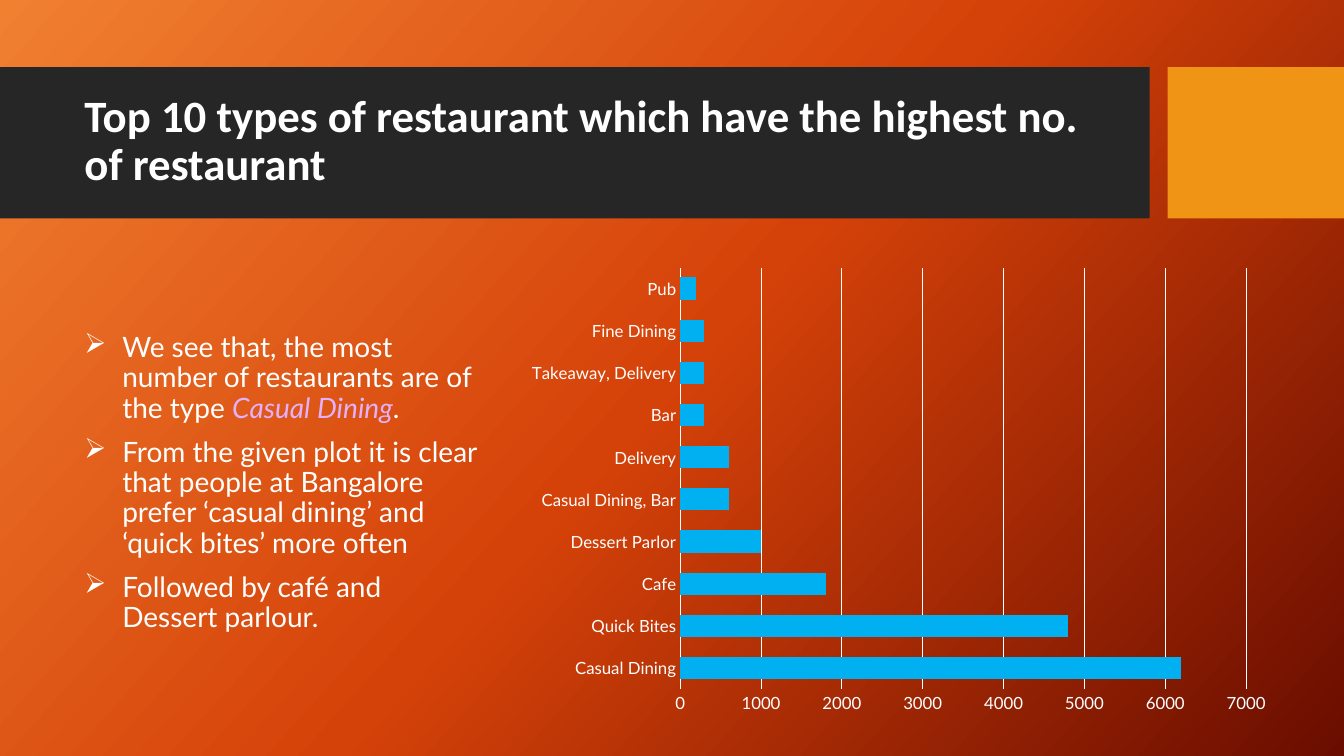
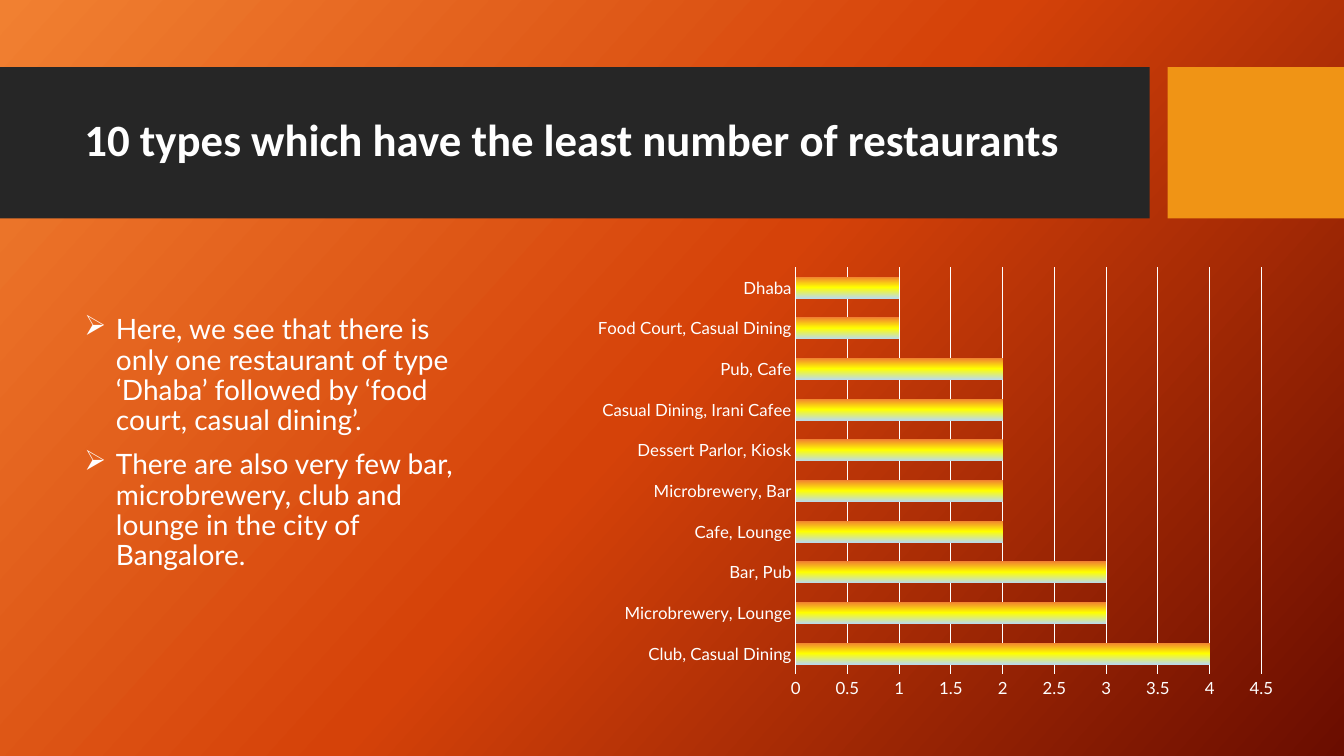
"""Build two slides on the most and least common restaurant types."""
from copy import deepcopy

from lxml import etree
from pptx import Presentation
from pptx import util as u
from pptx.chart.data import CategoryChartData
from pptx.dml.color import RGBColor
from pptx.enum import chart as charts, shapes, text
from pptx.oxml.ns import qn

PX = 9525
WHITE = RGBColor(0xFF, 0xFF, 0xFF)
CHARCOAL = RGBColor(0x26, 0x26, 0x26)
AMBER = RGBColor(0xF0, 0x94, 0x15)
ORANGE = RGBColor(0xF1, 0x80, 0x31)
RED = RGBColor(0xD5, 0x42, 0x09)
MAROON = RGBColor(0x6A, 0x0D, 0x00)
YELLOW = RGBColor(0xFF, 0xFF, 0x00)
PALE_BLUE = RGBColor(0xBD, 0xDB, 0xE6)
SKY = RGBColor(0x00, 0xB0, 0xF0)
LILAC = RGBColor(0xE3, 0xB1, 0xFB)

TITLE_FONT = {"name": "Calibri", "size": u.Pt(32), "bold": True}
BODY_FONT = {"name": "Lato", "size": u.Pt(20), "italic": False}
ACCENT_FONT = {"name": "Lato", "size": u.Pt(20), "italic": True}
AXIS_FONT = {"name": "Lato", "size": u.Pt(12)}
BANDS = [(0, 1095, CHARCOAL), (1112, 168, AMBER)]

SLIDES = [
    {
        "title": "Top 10 types of restaurant which have the highest no. of restaurant",
        "chart": (492, 246, 728, 442),
        "categories": ["Casual Dining", "Quick Bites", "Cafe", "Dessert Parlor",
                       "Casual Dining, Bar", "Delivery", "Bar",
                       "Takeaway, Delivery", "Fine Dining", "Pub"],
        "values": [6200, 4800, 1800, 1000, 600, 600, 300, 300, 300, 200],
        "scale": (7000, 1000),
        "bars": [SKY],
        "body_height": 429,
        "indent": 36,
        "points": [
            [("We see that, the most number of restaurants are of the type ", False),
             ("Casual Dining", True), (".", False)],
            [("From the given plot it is clear that people at Bangalore prefer "
              "‘casual dining’ and ‘quick bites’ more often", False)],
            [("Followed by café and Dessert parlour.", False)],
        ],
    },
    {
        "title": "10 types which have the least number of restaurants",
        "chart": (556, 246, 670, 427),
        "categories": ["Club, Casual Dining", "Microbrewery, Lounge", "Bar, Pub",
                       "Cafe, Lounge", "Microbrewery, Bar", "Dessert Parlor, Kiosk",
                       "Casual Dining, Irani Cafee", "Pub, Cafe",
                       "Food Court, Casual Dining", "Dhaba"],
        "values": [4, 3, 3, 2, 2, 2, 2, 2, 1, 1],
        "scale": (4.5, 0.5),
        "bars": [ORANGE, YELLOW, PALE_BLUE],
        "body_height": 353,
        "indent": 30,
        "points": [
            [("Here, we see that there is only one restaurant of type ‘Dhaba’ "
              "followed by ‘food court, casual dining’.", False)],
            [("There are also very few bar, microbrewery, club and lounge in "
              "the city of Bangalore.", False)],
        ],
    },
]


def style(font, values, color=WHITE):
    """Apply a dict of format values and a colour to a font."""
    for key, value in values.items():
        setattr(font, key, value)
    font.color.rgb = color


def blend(fill, element, colors, angle):
    """Give a fill evenly spaced gradient stops at a clockwise angle."""
    fill.gradient()
    fill.gradient_angle = 360 - angle
    stop_list = element.xpath(".//a:gsLst")[0]
    while len(stop_list) < len(colors):
        stop_list.append(deepcopy(stop_list[0]))
    for index, (stop, color) in enumerate(zip(fill.gradient_stops, colors)):
        stop.color.rgb = color
        stop.position = index / (len(colors) - 1)


deck = Presentation()
deck.slide_width, deck.slide_height = 1280 * PX, 720 * PX

for content in SLIDES:
    page = deck.slides.add_slide(deck.slide_layouts[6])
    blend(page.background.fill, page.element, [ORANGE, RED, MAROON], 42)

    for left, width, color in BANDS:
        band = page.shapes.add_shape(shapes.MSO_SHAPE.RECTANGLE,
                                     left * PX, 64 * PX, width * PX, 144 * PX)
        band.shadow.inherit = False
        band.fill.solid()
        band.fill.fore_color.rgb = color
        band.line.fill.background()

    title = page.shapes.add_textbox(71 * PX, 79 * PX, 1009 * PX, 113 * PX)
    body = page.shapes.add_textbox(71 * PX, 246 * PX, 397 * PX,
                                   content["body_height"] * PX)
    for box in (title, body):
        box.text_frame.word_wrap = True
        box.text_frame.vertical_anchor = text.MSO_ANCHOR.MIDDLE

    para = title.text_frame.paragraphs[0]
    para.line_spacing = 0.9
    span = para.add_run()
    span.text = content["title"]
    style(span.font, TITLE_FONT)

    for index, point in enumerate(content["points"]):
        para = body.text_frame.add_paragraph() if index else body.text_frame.paragraphs[0]
        para.line_spacing = 0.9
        para.space_before = u.Pt(10 if index else 0)
        properties = para._p.get_or_add_pPr()
        properties.set("marL", str(content["indent"] * PX))
        properties.set("indent", str(-content["indent"] * PX))
        etree.SubElement(properties, qn("a:buChar")).set("char", "➢")
        for words, accented in point:
            span = para.add_run()
            span.text = words
            style(span.font, ACCENT_FONT if accented else BODY_FONT,
                  LILAC if accented else WHITE)

    data = CategoryChartData()
    data.categories = content["categories"]
    data.add_series("Series 1", content["values"])
    chart = page.shapes.add_chart(charts.XL_CHART_TYPE.BAR_CLUSTERED,
                                  *(length * PX for length in content["chart"]),
                                  data).chart
    chart.has_title = False
    chart.has_legend = False
    style(chart.font, AXIS_FONT)
    for axis in (chart.category_axis, chart.value_axis):
        axis.major_tick_mark = axis.minor_tick_mark = charts.XL_TICK_MARK.NONE
        axis.format.line.fill.background()
        style(axis.tick_labels.font, AXIS_FONT)
    chart.value_axis.minimum_scale = 0
    chart.value_axis.maximum_scale, chart.value_axis.major_unit = content["scale"]
    grid = chart.value_axis.major_gridlines.format.line
    grid.color.rgb = WHITE
    grid.width = u.Pt(0.75)

    plot = chart.plots[0]
    plot.gap_width = 90
    plot.vary_by_categories = False
    series = plot.series[0]
    bars = content["bars"]
    if len(bars) > 1:
        blend(series.format.fill, series._element, bars, 90)
    else:
        series.format.fill.solid()
        series.format.fill.fore_color.rgb = bars[0]

deck.save("out.pptx")
